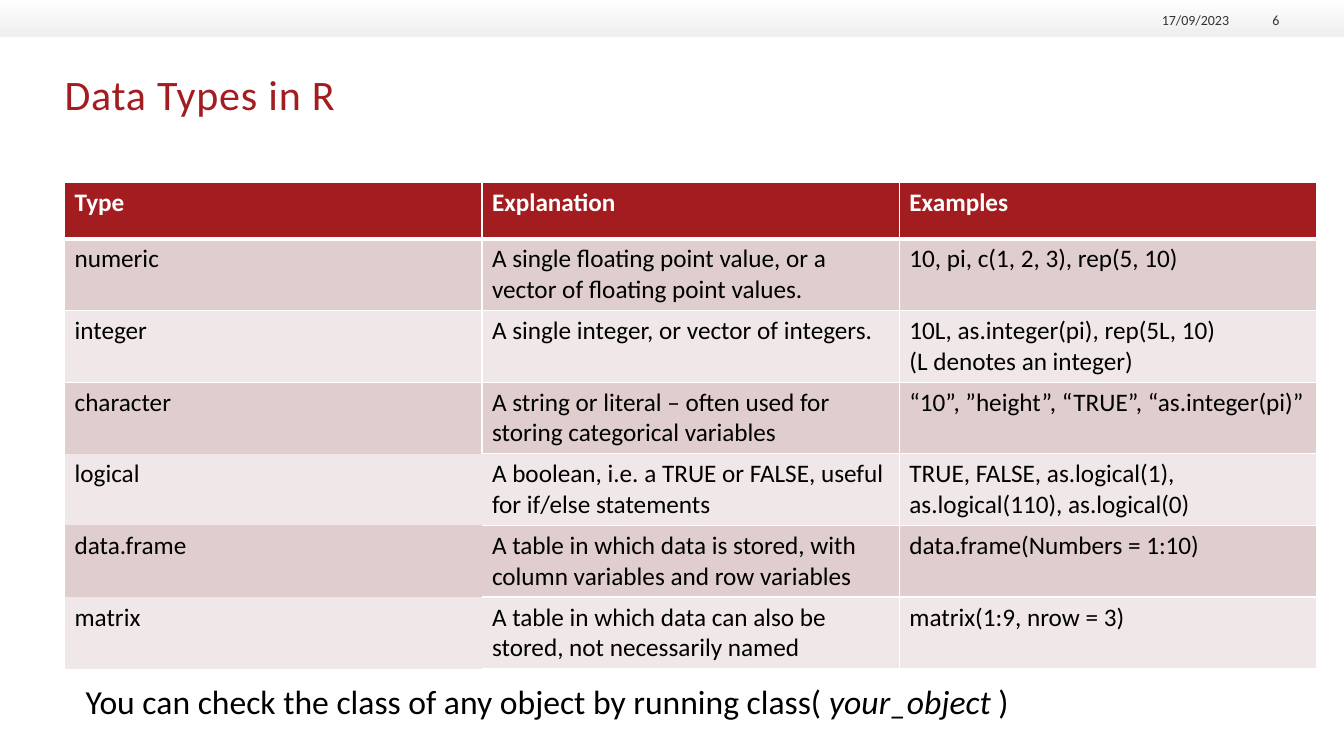
from dataclasses import dataclass

from lxml.etree import SubElement
from pptx import Presentation
from pptx.dml.color import RGBColor
from pptx.enum.shapes import MSO_SHAPE
from pptx.enum.text import MSO_ANCHOR, MSO_AUTO_SIZE, PP_ALIGN
from pptx.oxml.ns import qn
from pptx.util import Emu, Pt

EMU_PER_PX = 9144


@dataclass(frozen=True)
class Theme:
    """Colours, typeface and type sizes of the slide."""
    font: str = "Calibri"
    red: str = "A31D20"
    white: str = "FFFFFF"
    black: str = "000000"
    grey: str = "333333"
    band_end: str = "EEEFEE"
    stripes: tuple = ("E0CDCD", "F0E8E8")
    title_size: int = 30
    note_size: int = 24
    table_size: int = 18
    footer_size: int = 10


THEME = Theme()
ROWS = (
    ("Type", "Explanation", "Examples"),
    ("numeric", "A single floating point value, or a vector of floating point values.",
     "10, pi, c(1, 2, 3), rep(5, 10)"),
    ("integer", "A single integer, or vector of integers.",
     "10L, as.integer(pi), rep(5L, 10)\n(L denotes an integer)"),
    ("character", "A string or literal – often used for storing categorical variables",
     "“10”, ”height”, “TRUE”, “as.integer(pi)”"),
    ("logical", "A boolean, i.e. a TRUE or FALSE, useful for if/else statements",
     "TRUE, FALSE, as.logical(1), as.logical(110), as.logical(0)"),
    ("data.frame", "A table in which data is stored, with column variables and row variables",
     "data.frame(Numbers = 1:10)"),
    ("matrix", "A table in which data can also be stored, not necessarily named",
     "matrix(1:9, nrow = 3)"),
)
FIRST_OPEN_ROW = 4


def px(length):
    """Turn whole pixels into EMU."""
    return Emu(length * EMU_PER_PX)


def style(paragraph, size, colour, bold=False):
    """Set the font of a whole paragraph."""
    font = paragraph.font
    font.name, font.size, font.bold = THEME.font, Pt(size), bold
    font.color.rgb = RGBColor.from_string(colour)


def add_band(page, left, top, width, height):
    """Add the pale gradient band across the top."""
    band = page.shapes.add_shape(
        MSO_SHAPE.RECTANGLE, px(left), px(top), px(width), px(height))
    band.shadow.inherit = False
    band.line.fill.background()
    band.fill.gradient()
    band.fill.gradient_angle = 270
    for stop, colour in zip(band.fill.gradient_stops, (THEME.white, THEME.band_end)):
        stop.color.rgb = RGBColor.from_string(colour)
    last_colour = list(band.fill._xPr.iter(qn("a:srgbClr")))[-1]
    SubElement(last_colour, qn("a:alpha"), val="93000")


def add_text(page, left, top, width, height, spans, size, colour,
             align=PP_ALIGN.LEFT, anchor=MSO_ANCHOR.TOP, wrap=True):
    """Add a marginless one-paragraph box from (text, italic) spans."""
    box = page.shapes.add_textbox(px(left), px(top), px(width), px(height))
    frame = box.text_frame
    frame.margin_left = frame.margin_top = frame.margin_right = frame.margin_bottom = 0
    frame.vertical_anchor = anchor
    frame.word_wrap = wrap
    frame.auto_size = MSO_AUTO_SIZE.NONE if wrap else MSO_AUTO_SIZE.SHAPE_TO_FIT_TEXT
    paragraph = frame.paragraphs[0]
    paragraph.alignment = align
    style(paragraph, size, colour)
    for text, italic in spans:
        span = paragraph.add_run()
        span.text = text
        if italic:
            span.font.italic = True
    return paragraph


def border_widths(row, column):
    """Give the left, right, top and bottom border widths of a cell."""
    open_row = row >= FIRST_OPEN_ROW
    if open_row and column == 0:
        return 0, 0, 0, 0
    left = 0 if open_row and column == 1 else 1
    top = 3 if row == 1 else 1
    bottom = 3 if row == 0 else 1
    if row == FIRST_OPEN_ROW - 1 and column == 0:
        bottom = 0
    return left, 1, top, bottom


def set_borders(cell, widths):
    """Draw white cell borders, leaving out those of zero width."""
    properties = cell._tc.get_or_add_tcPr()
    for side, width in zip("LRTB", widths):
        line = SubElement(properties, qn(f"a:ln{side}"), w=str(Pt(width)))
        if width:
            fill = SubElement(line, qn("a:solidFill"))
            SubElement(fill, qn("a:srgbClr"), val=THEME.white)
        else:
            SubElement(line, qn("a:noFill"))


def add_types_table(page, left, top, column_width, header_height, row_height):
    """Add the striped table of data types."""
    count = len(ROWS[0])
    height = header_height + row_height * (len(ROWS) - 1)
    table = page.shapes.add_table(
        len(ROWS), count, px(left), px(top), px(column_width * count), px(height)).table
    for row, texts in enumerate(ROWS):
        header = row == 0
        table.rows[row].height = px(header_height if header else row_height)
        background = THEME.red if header else THEME.stripes[(row - 1) % 2]
        for column, text in enumerate(texts):
            cell = table.cell(row, column)
            set_borders(cell, border_widths(row, column))
            cell.fill.solid()
            cell.fill.fore_color.rgb = RGBColor.from_string(background)
            cell.text = text
            for paragraph in cell.text_frame.paragraphs:
                style(paragraph, THEME.table_size,
                      THEME.white if header else THEME.black, header)


def main():
    """Build and save the slide."""
    deck = Presentation()
    deck.slide_width, deck.slide_height = px(1333), px(750)
    page = deck.slides.add_slide(deck.slide_layouts[6])
    add_band(page, 0, 0, 1333, 36)
    title = add_text(page, 64, 68, 1204, 94, [("Data Types in R", False)],
                     THEME.title_size, THEME.red)
    title.runs[0].font._element.set("spc", "60")
    add_types_table(page, 64, 181, 414, 56, 70)
    for left, width, text in ((1130, 89, "17/09/2023"), (1227, 42, "6")):
        add_text(page, left, 9, width, 19, [(text, False)], THEME.footer_size,
                 THEME.grey, PP_ALIGN.RIGHT, MSO_ANCHOR.BOTTOM)
    add_text(page, 85, 676, 1014, 40,
             [("You can check the class of any object by running class( ", False),
              ("your_object ", True), (")", False)],
             THEME.note_size, THEME.black, wrap=False)
    deck.save("out.pptx")


if __name__ == "__main__":
    main()
